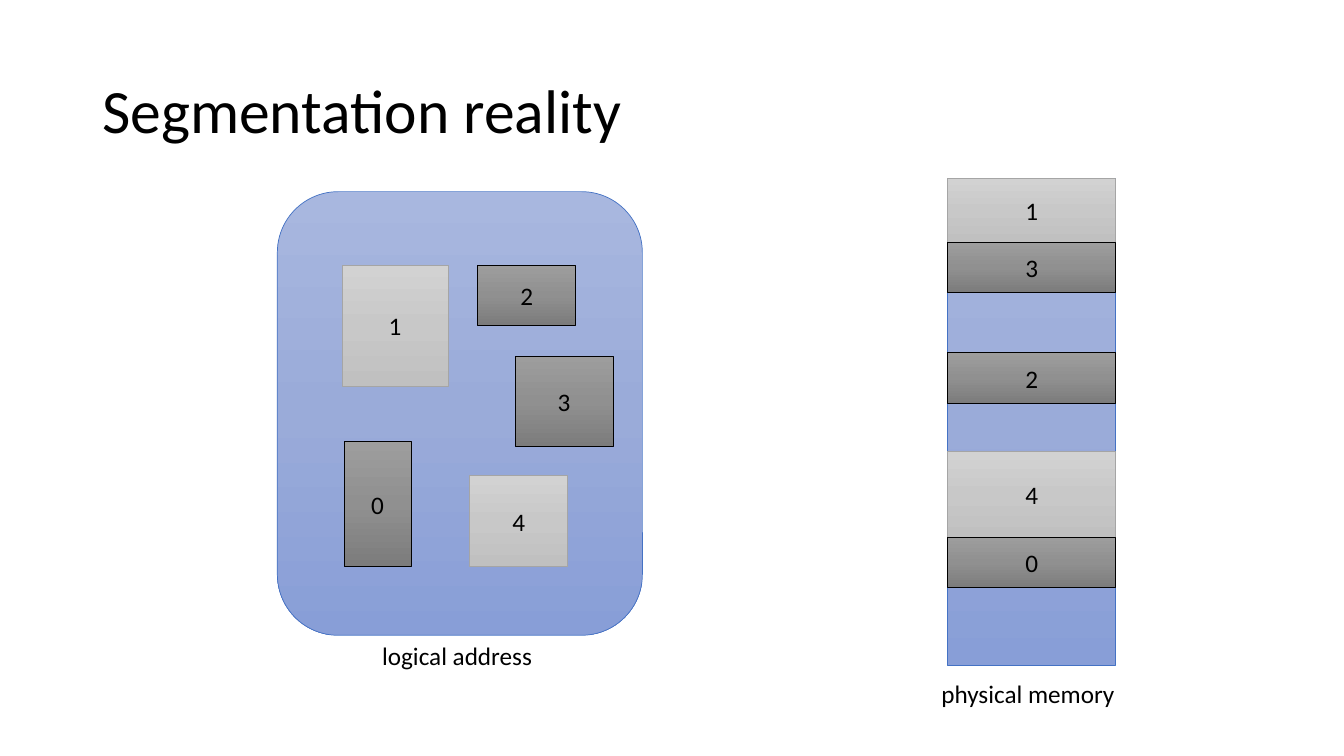
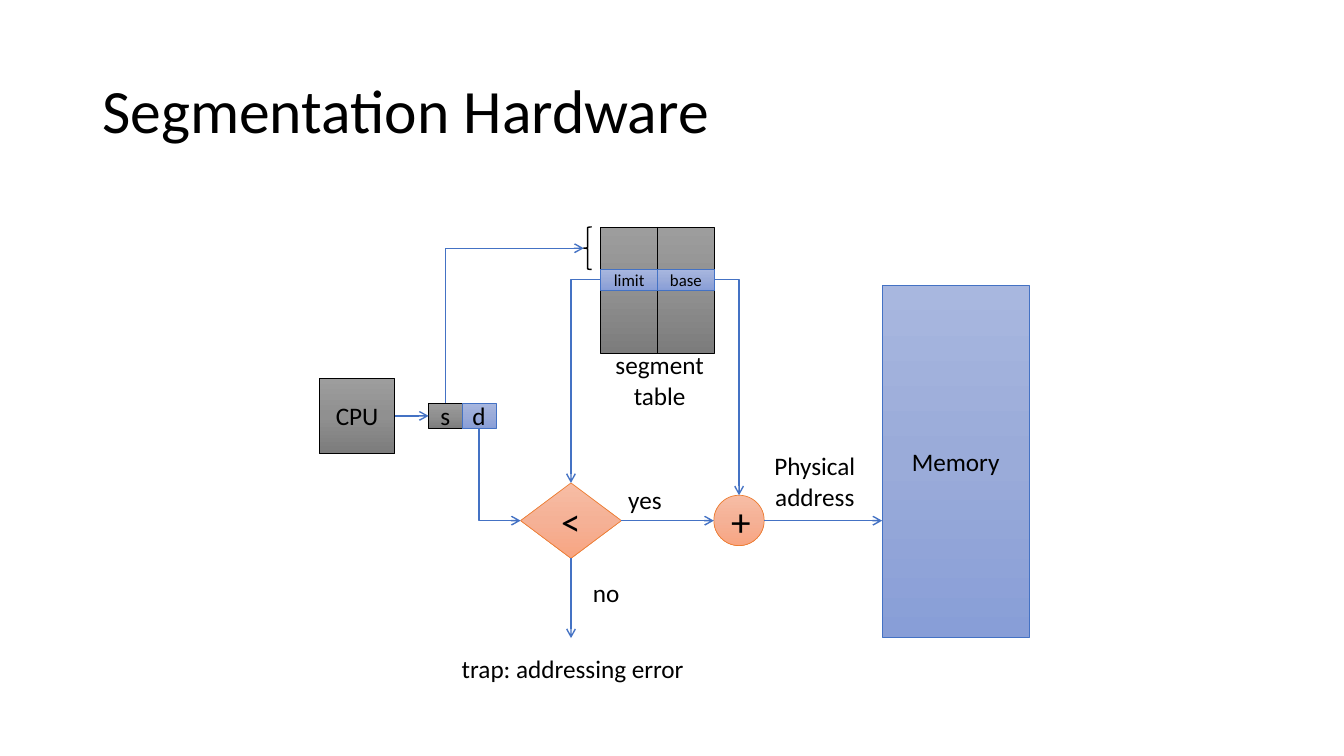
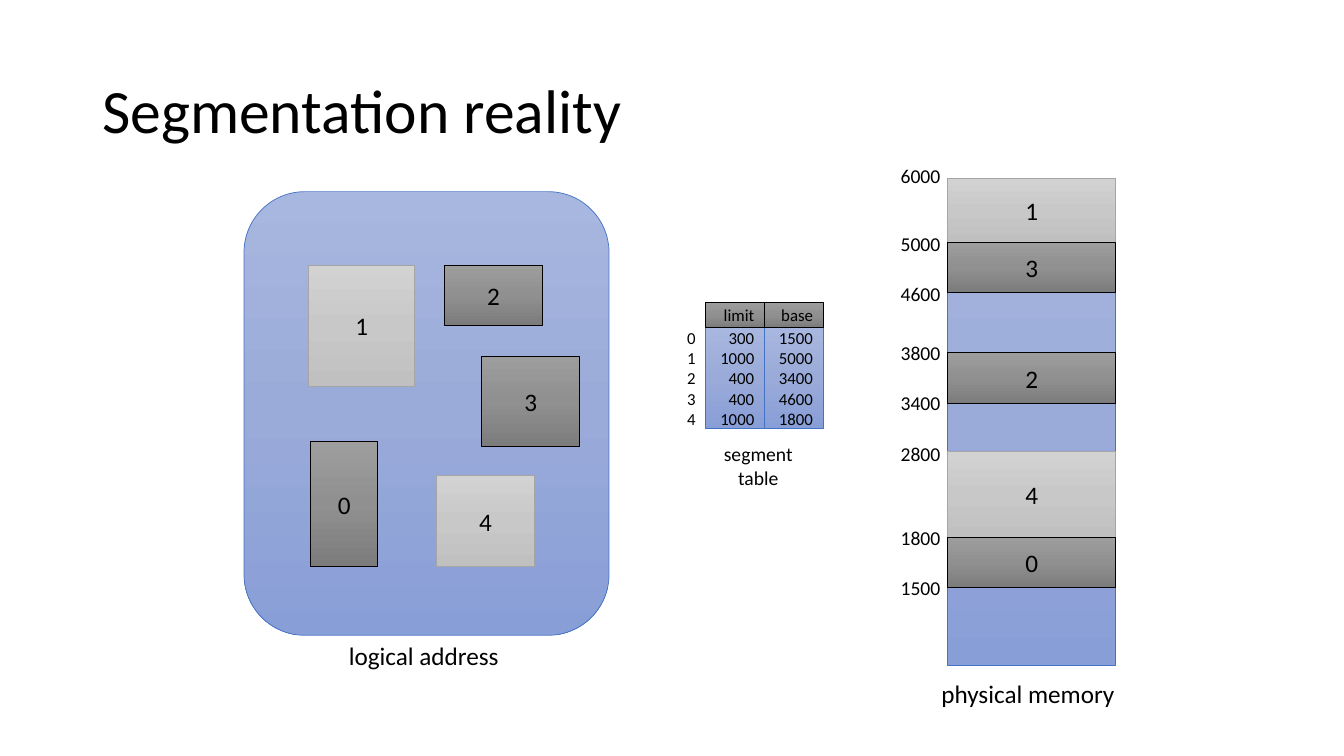
from copy import deepcopy
from dataclasses import dataclass
from typing import NamedTuple

from pptx import Presentation
from pptx.dml.color import RGBColor
from pptx.enum.shapes import MSO_CONNECTOR as Link, MSO_SHAPE as Preset
from pptx.enum.text import MSO_ANCHOR as Anchor, MSO_AUTO_SIZE as AutoSize, PP_ALIGN as Align
from pptx.oxml.ns import qn
from pptx.oxml.xmlchemy import OxmlElement
from pptx.shapes.autoshape import Shape
from pptx.shapes.connector import Connector
from pptx.slide import Slide
from pptx.util import Cm, Pt


class Finish(NamedTuple):
    """Top, middle and bottom colours of a fill, and the outline colour."""
    top: str
    middle: str
    bottom: str
    line: str


@dataclass(frozen=True)
class Theme:
    font: str = "Calibri"
    text: str = "000000"
    accent: str = "4472C4"
    blue: Finish = Finish("A8B7DF", "9AABD9", "889ED7", "4472C4")
    light: Finish = Finish("D2D2D2", "C8C8C8", "C0C0C0", "A5A5A5")
    dark: Finish = Finish("9D9D9D", "909090", "7C7C7C", "000000")
    orange: Finish = Finish("F7BDA5", "F5B196", "F8A582", "ED7D31")
    white: Finish = Finish("FFFFFF", "FFFFFF", "FFFFFF", "FFFFFF")
    title_size: int = 44
    symbol_size: int = 28
    body_size: int = 18
    address_size: int = 14
    table_size: int = 12
    outline: float = 0.5
    arrow: float = 1


THEME = Theme()


class Box(NamedTuple):
    """A frame in centimetres."""
    left: float
    top: float
    width: float
    height: float


class Segment(NamedTuple):
    name: str
    finish: Finish
    logical: Box  # left is measured from the logical address space
    physical_top: float
    physical_height: float


class Label(NamedTuple):
    text: str
    box: Box


class TableColumn(NamedTuple):
    heading: str
    values: str


SEGMENTS = [
    Segment("1", THEME.light, Box(1.63, 6.68, 2.67, 3.05), 4.5, 1.6),
    Segment("2", THEME.dark, Box(5.05, 6.68, 2.47, 1.52), 8.89, 1.27),
    Segment("3", THEME.dark, Box(5.99, 8.97, 2.47, 2.29), 6.1, 1.27),
    Segment("4", THEME.light, Box(4.85, 11.99, 2.47, 2.29), 11.38, 2.18),
    Segment("0", THEME.dark, Box(1.68, 11.13, 1.69, 3.15), 13.54, 1.27),
]
ADDRESS_TOPS = {
    "6000": 4.01, "5000": 5.72, "4600": 6.99, "3800": 8.46,
    "3400": 9.73, "2800": 11, "1800": 13.13, "1500": 14.38,
}
SEGMENT_TABLE = [
    TableColumn("limit", "300\n1000\n400\n400\n1000"),
    TableColumn("base", "1500\n5000\n3400\n4600\n1800"),
]
HARDWARE_LABELS = [
    Label("segment\ntable", Box(15.24, 8.69, 2.77, 1.8)),
    Label("Physical\naddress", Box(19.25, 11.23, 2.57, 1.8)),
    Label("yes", Box(15.57, 12.07, 1.37, 1.02)),
    Label("no", Box(14.68, 14.43, 1.19, 1.02)),
    Label("trap: addressing error", Box(11.35, 16.33, 6.17, 1.02)),
]


def write(shape: Shape, text: str, size: float, align: Align) -> None:
    """Put each line of the text in a paragraph of its own."""
    frame = shape.text_frame
    for index, line in enumerate(text.split("\n")):
        paragraph = frame.add_paragraph() if index else frame.paragraphs[0]
        paragraph.alignment = align
        run = paragraph.add_run()
        run.text = line
        run.font.name = THEME.font
        run.font.size = Pt(size)
        run.font.color.rgb = RGBColor.from_string(THEME.text)


def paint(shape: Shape, finish: Finish) -> None:
    """Fill with a vertical three-stop gradient, or plainly if it has one colour."""
    if finish.top == finish.bottom:
        shape.fill.solid()
        shape.fill.fore_color.rgb = RGBColor.from_string(finish.top)
    else:
        shape.fill.gradient()
        shape.fill.gradient_angle = 270
        stop_list = shape.element.spPr.find(".//" + qn("a:gsLst"))
        stop_list.append(deepcopy(stop_list[-1]))
        for index, stop in enumerate(shape.fill.gradient_stops):
            stop.position = index / 2
            stop.color.rgb = RGBColor.from_string(finish[index])


def add_block(slide: Slide, preset: Preset, box: Box, finish: Finish, text: str = "",
              size: float = THEME.body_size, align: Align = Align.CENTER) -> Shape:
    shape = slide.shapes.add_shape(preset, *map(Cm, box))
    shape.shadow.inherit = False
    paint(shape, finish)
    shape.line.color.rgb = RGBColor.from_string(finish.line)
    shape.line.width = Pt(THEME.outline)
    shape.text_frame.vertical_anchor = Anchor.MIDDLE
    if text:
        write(shape, text, size, align)
    return shape


def add_label(slide: Slide, label: Label, size: float = THEME.body_size,
              align: Align = Align.CENTER) -> None:
    shape = slide.shapes.add_textbox(*map(Cm, label.box))
    shape.text_frame.word_wrap = False
    shape.text_frame.auto_size = AutoSize.SHAPE_TO_FIT_TEXT
    write(shape, label.text, size, align)


def add_titled_slide(presentation: Presentation, title: str) -> Slide:
    slide = presentation.slides.add_slide(presentation.slide_layouts[6])
    shape = slide.shapes.add_textbox(Cm(2.33), Cm(1.01), Cm(29.21), Cm(3.68))
    shape.text_frame.word_wrap = True
    shape.text_frame.vertical_anchor = Anchor.MIDDLE
    write(shape, title, THEME.title_size, Align.LEFT)
    shape.text_frame.paragraphs[0].line_spacing = 0.9
    return slide


def style_line(connector: Connector, colour: str, width: float, arrow: bool) -> None:
    connector.line.color.rgb = RGBColor.from_string(colour)
    connector.line.width = Pt(width)
    if arrow:
        tail = OxmlElement("a:tailEnd")
        tail.set("type", "arrow")
        connector.element.spPr.find(qn("a:ln")).append(tail)
    connector.element.spPr.append(OxmlElement("a:effectLst"))


def add_straight(slide: Slide, start: tuple[float, float], end: tuple[float, float],
                 colour: str = THEME.accent, width: float = THEME.arrow,
                 arrow: bool = True) -> Connector:
    connector = slide.shapes.add_connector(Link.STRAIGHT, *map(Cm, start + end))
    style_line(connector, colour, width, arrow)
    return connector


def add_elbow(slide: Slide, start: Shape, start_side: int, end: Shape, end_side: int) -> None:
    """Join two shapes by an arrow with a single right-angled turn."""
    connector = slide.shapes.add_connector(Link.ELBOW, 0, 0, 0, 0)
    connector.begin_connect(start, start_side)
    connector.end_connect(end, end_side)
    properties = connector.element.spPr
    properties.find(qn("a:prstGeom")).set("prst", "bentConnector2")
    if start_side in (0, 2):
        # The preset turns from across to down, so a vertical start needs a quarter turn.
        across = connector.end_x - connector.begin_x
        down = connector.end_y - connector.begin_y
        middle_x = (connector.begin_x + connector.end_x) // 2
        middle_y = (connector.begin_y + connector.end_y) // 2
        connector.left, connector.width = middle_x - abs(down) // 2, abs(down)
        connector.top, connector.height = middle_y - abs(across) // 2, abs(across)
        transform = properties.find(qn("a:xfrm"))
        transform.set("rot", "5400000" if down > 0 else "16200000")
        transform.set("flipH", "0")
        transform.set("flipV", "1" if (across > 0) == (down > 0) else "0")
    style_line(connector, THEME.accent, THEME.arrow, True)


def draw_logical_space(slide: Slide, left: float) -> None:
    add_block(slide, Preset.FLOWCHART_ALTERNATE_PROCESS, Box(left, 4.83, 9.2, 11.18), THEME.blue)
    for segment in SEGMENTS:
        box = segment.logical._replace(left=left + segment.logical.left)
        add_block(slide, Preset.FLOWCHART_PROCESS, box, segment.finish, segment.name)
    add_label(slide, Label("logical address", Box(left + 2.36, 16, 4.34, 1.02)))


def draw_physical_memory(slide: Slide) -> None:
    memory = Box(23.88, 4.5, 4.24, 12.42)
    memory = memory._replace(height=12.27)
    add_block(slide, Preset.RECTANGLE, memory, THEME.blue)
    add_label(slide, Label("physical memory", Box(23.44, 16.97, 4.93, 1.02)))
    for segment in sorted(SEGMENTS, key=lambda item: item.physical_top):
        box = memory._replace(top=segment.physical_top, height=segment.physical_height)
        add_block(slide, Preset.RECTANGLE, box, segment.finish, segment.name)


def draw_segment_table(slide: Slide) -> None:
    left, top, width, heading_height, body_height = 17.78, 7.62, 1.48, 0.64, 2.54
    body_top = top + heading_height
    rows = "\n".join(sorted(segment.name for segment in SEGMENTS))
    add_block(slide, Preset.FLOWCHART_PROCESS, Box(left - 0.85, body_top, 0.85, body_height),
              THEME.white, rows, THEME.table_size, Align.RIGHT)
    for index, column in enumerate(SEGMENT_TABLE):
        body = Box(left + index * width, body_top, width, body_height)
        heading = body._replace(top=top, height=heading_height)
        for box, finish, text in ((body, THEME.blue, column.values),
                                  (heading, THEME.dark, column.heading)):
            add_block(slide, Preset.FLOWCHART_PROCESS, box, finish, text,
                      THEME.table_size, Align.RIGHT)
    add_label(slide, Label("segment\ntable", Box(17.98, 11.02, 2.26, 1.45)), THEME.address_size)


def draw_hardware(slide: Slide) -> None:
    compare = add_block(slide, Preset.FLOWCHART_DECISION, Box(13.12, 12.17, 2.54, 1.9),
                        THEME.orange, "<", THEME.symbol_size)
    adder = add_block(slide, Preset.OVAL, Box(17.99, 12.48, 1.27, 1.27),
                      THEME.orange, "+", THEME.symbol_size)
    add_block(slide, Preset.RECTANGLE, Box(22.23, 7.19, 3.71, 8.86), THEME.blue, "Memory")
    cpu = add_block(slide, Preset.RECTANGLE, Box(8.05, 9.53, 1.9, 1.9), THEME.dark, "CPU")
    selector = add_block(slide, Preset.RECTANGLE, Box(10.8, 10.16, 0.85, 0.64), THEME.dark, "s")
    offset = add_block(slide, Preset.RECTANGLE, Box(11.65, 10.16, 0.85, 0.64), THEME.blue, "d")

    table = add_block(slide, Preset.FLOWCHART_PROCESS, Box(15.14, 5.72, 2.86, 3.18), THEME.dark)
    divider = add_straight(slide, (16.57, 5.72), (16.57, 8.9), THEME.text, THEME.outline, False)
    divider.begin_connect(table, 0)
    divider.end_connect(table, 2)
    limit, base = (
        add_block(slide, Preset.FLOWCHART_PROCESS, Box(15.14 + index * 1.43, 6.78, 1.43, 0.53),
                  THEME.blue, column.heading, THEME.table_size)
        for index, column in enumerate(SEGMENT_TABLE)
    )
    brace = slide.shapes.add_shape(Preset.LEFT_BRACE, Cm(14.71), Cm(5.72), Cm(0.2), Cm(1.07))
    brace.shadow.inherit = False
    brace.fill.background()
    brace.line.color.rgb = RGBColor.from_string(THEME.text)
    brace.line.width = Pt(THEME.arrow)

    request = add_straight(slide, (9.95, 10.48), (10.8, 10.48))
    request.begin_connect(cpu, 3)
    request.end_connect(selector, 1)
    accepted = add_straight(slide, (15.66, 13.12), (17.99, 13.12))
    accepted.begin_connect(compare, 3)
    trapped = add_straight(slide, (14.39, 14.07), (14.39, 16.08))
    trapped.begin_connect(compare, 2)
    add_straight(slide, (19.26, 13.12), (22.23, 13.12))
    add_elbow(slide, selector, 0, brace, 1)
    add_elbow(slide, offset, 2, compare, 1)
    add_elbow(slide, limit, 1, compare, 0)
    add_elbow(slide, base, 3, adder, 0)
    for label in HARDWARE_LABELS:
        add_label(slide, label)


def main() -> None:
    presentation = Presentation()
    presentation.slide_width, presentation.slide_height = Cm(33.87), Cm(19.05)

    overview = add_titled_slide(presentation, "Segmentation reality")
    draw_logical_space(overview, 6.99)
    draw_physical_memory(overview)

    draw_hardware(add_titled_slide(presentation, "Segmentation Hardware"))

    example = add_titled_slide(presentation, "Segmentation reality")
    draw_logical_space(example, 6.15)
    draw_physical_memory(example)
    draw_segment_table(example)
    for address, top in ADDRESS_TOPS.items():
        add_label(example, Label(address, Box(22.43, top, 1.52, 0.86)),
                  THEME.address_size, Align.RIGHT)

    presentation.save("out.pptx")


if __name__ == "__main__":
    main()
